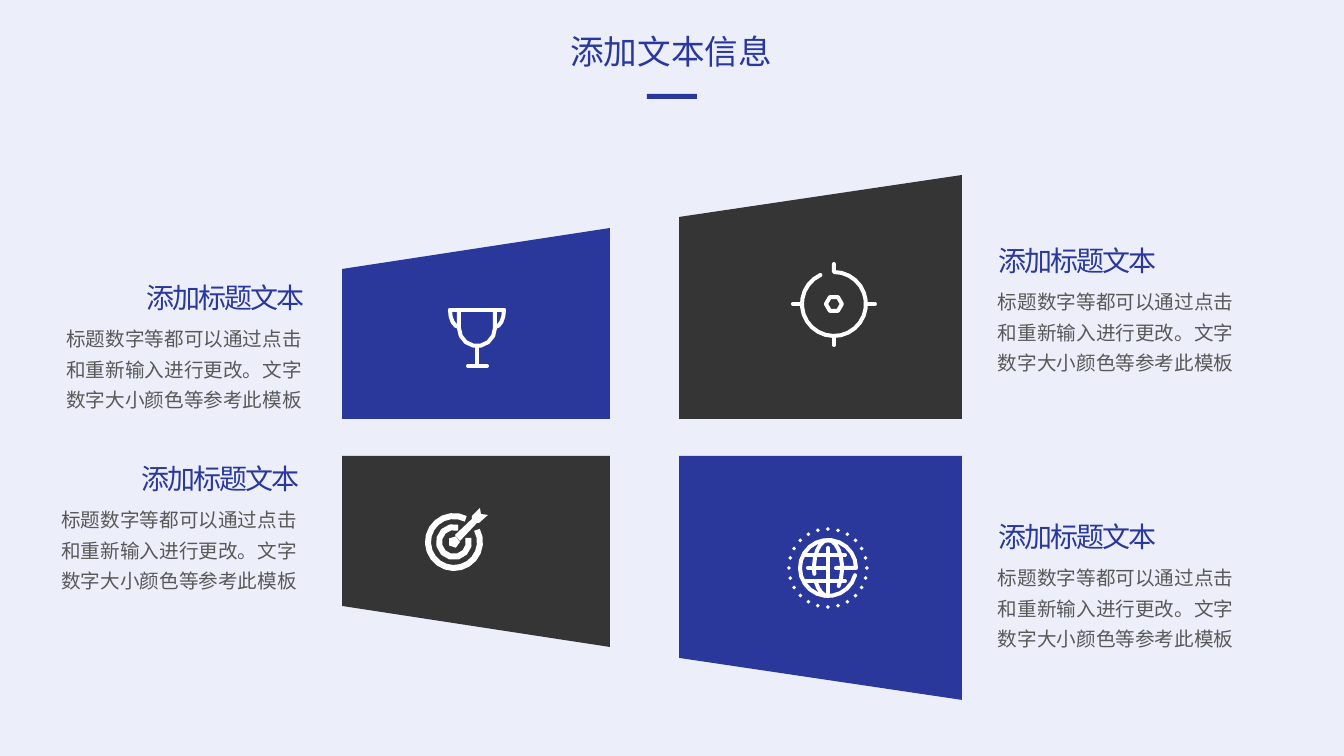
import math

import pptx
import pptx.dml.color
import pptx.enum.shapes
import pptx.enum.text
import pptx.oxml
import pptx.oxml.ns
import pptx.util

SCALE = 914400 / 100.8
COLORS = {
    "background": "ECEEFA",
    "blue": "2A389C",
    "dark": "353535",
    "body": "595959",
    "white": "FFFFFF",
}
HEADING_FONT = "Noto Sans CJK JP"
BODY_FONT = "Noto Sans CJK SC"
HEADING = "添加标题文本"
BODY = "标题数字等都可以通过点击和重新输入进行更改。文字数字大小颜色等参考此模板"
LEFT = pptx.enum.text.PP_ALIGN.LEFT
CENTER = pptx.enum.text.PP_ALIGN.CENTER
RIGHT = pptx.enum.text.PP_ALIGN.RIGHT


def px(length):
    """Turn pixels into EMU."""
    return pptx.util.Emu(round(length * SCALE))


def color(name):
    """Look up a named colour."""
    return pptx.dml.color.RGBColor.from_string(COLORS[name])


def fill_plain(shape, color_name):
    """Give a shape a solid fill without line or shadow."""
    shape.shadow.inherit = False
    shape.fill.solid()
    shape.fill.fore_color.rgb = color(color_name)
    shape.line.fill.background()


def add_text(slide, box, text, size, font_name, color_name, alignment, line_spacing=1.0, tracking=0):
    """Add a wrapped text box holding one run."""
    frame = slide.shapes.add_textbox(*map(px, box)).text_frame
    frame.word_wrap = True
    frame.auto_size = pptx.enum.text.MSO_AUTO_SIZE.SHAPE_TO_FIT_TEXT
    paragraph = frame.paragraphs[0]
    paragraph.alignment = alignment
    paragraph.line_spacing = line_spacing
    run = paragraph.add_run()
    run.text = text
    run.font.size = pptx.util.Pt(size)
    run.font.name = font_name
    run.font.color.rgb = color(color_name)
    properties = run.font._element
    east_asian = pptx.oxml.parse_xml(f'<a:ea {pptx.oxml.ns.nsdecls("a")} typeface="{font_name}"/>')
    properties.find(pptx.oxml.ns.qn("a:latin")).addnext(east_asian)
    if tracking:
        properties.set("spc", str(tracking))


def point_at(x, y, radius_x, radius_y, degrees):
    """Find the point of an ellipse at an angle, clockwise from the right."""
    angle = math.radians(degrees)
    return x + radius_x * math.cos(angle), y + radius_y * math.sin(angle)


def arc(x, y, radius_x, radius_y, start=0, end=360):
    """List points on an elliptical arc, more of them on a longer one."""
    steps = max(4, round((end - start) * max(radius_x, radius_y) / 450))
    return [
        point_at(x, y, radius_x, radius_y, start + (end - start) * step / steps)
        for step in range(steps + 1)
    ]


def add_outline(slide, contours, close):
    """Build one freeform from several contours."""
    contours = [[(px(x), px(y)) for x, y in contour] for contour in contours]
    builder = slide.shapes.build_freeform(*contours[0][0])
    for index, contour in enumerate(contours):
        if index:
            builder.move_to(*contour[0])
        builder.add_line_segments(contour[1:], close=close)
    return builder.convert_to_shape()


def add_solid(slide, contours, color_name="white"):
    """Add a filled freeform."""
    fill_plain(add_outline(slide, contours, True), color_name)


def add_strokes(slide, contours, width=4, cap="rnd"):
    """Add a freeform of white strokes."""
    shape = add_outline(slide, contours, False)
    shape.shadow.inherit = False
    shape.fill.background()
    shape.line.color.rgb = color("white")
    shape.line.width = px(width)
    shape.line._get_or_add_ln().set("cap", cap)


def add_globe(slide, x, y):
    """Draw a globe inside a ring of dots."""
    add_strokes(slide, [
        arc(x, y, 28, 28, 15, 360) + [(x + 8, y)],
        [(x - 20, y), (x, y)],
        [(x, y - 20), (x, y + 28)],
        [(x - 23, y - 13), (x + 17, y - 13)],
        [(x - 23, y + 13), (x + 17, y + 13)],
        arc(x, y, 14, 28, -90, 40),
        arc(x, y, 14, 28, 90, 150),
        arc(x, y, 14, 28, 168, 270),
    ])
    centers = [point_at(x, y, 39, 39, degrees) for degrees in range(0, 360, 15)]
    add_solid(slide, [arc(dot_x, dot_y, 2, 2)[:-1] for dot_x, dot_y in centers])


def add_crosshair(slide, x, y):
    """Draw a crosshair with four ticks."""
    add_strokes(slide, [
        [(x, y - 40)] + arc(x, y, 32, 32, -90, 245),
        arc(x, y, 8, 8),
        [(x, y + 32), (x, y + 41)],
        [(x - 41, y), (x - 32, y)],
        [(x + 32, y), (x + 41, y)],
    ])


def add_target(slide, x, y):
    """Draw a target hit by an arrow."""
    add_strokes(slide, [arc(x, y, 26, 26, -28, 297), arc(x, y, 15, 15, -16, 286)], 6, "flat")
    add_solid(slide, [arc(x, y, 6, 6)])
    arrow = [(26, -34), (27, -28), (34, -27), (25, -19), (23, -19), (6, -1), (1, -7), (18, -23), (18, -26)]
    add_solid(slide, [[(x + across, y + down) for across, down in arrow]])


def add_trophy(slide, x, y):
    """Draw a trophy whose rim is centred on the given point."""
    add_strokes(slide, [
        [(x - 27, y), (x + 27, y)],
        [(x + 18, y)] + arc(x, y + 18, 18, 18, 0, 180) + [(x - 18, y)],
        arc(x - 18, y, 9, 17, 90, 180),
        arc(x + 18, y, 9, 17, 0, 90),
        [(x, y + 36), (x, y + 56)],
        [(x - 9, y + 56), (x + 10, y + 56)],
    ])


def add_caption(slide, heading_box, body_box, heading_alignment, body_alignment):
    """Add a body text and the heading above it."""
    add_text(slide, (*body_box, 266, 100), BODY, 14, BODY_FONT, "body", body_alignment, 1.3)
    add_text(slide, (*heading_box, 229, 48), HEADING, 20, HEADING_FONT, "blue", heading_alignment, 1.2, -150)


def main():
    """Build and save the slide."""
    presentation = pptx.Presentation()
    presentation.slide_width, presentation.slide_height = px(1344), px(756)
    slide = presentation.slides.add_slide(presentation.slide_layouts[6])
    slide.background.fill.solid()
    slide.background.fill.fore_color.rgb = color("background")

    add_text(slide, (552, 26, 238, 50), "添加文本信息", 24, HEADING_FONT, "blue", CENTER)
    bar = slide.shapes.add_shape(pptx.enum.shapes.MSO_SHAPE.RECTANGLE, *map(px, (647, 94, 50, 5)))
    fill_plain(bar, "blue")

    panels = [
        (342, 610, 269, 228, 419, "blue"),
        (679, 962, 217, 175, 419, "dark"),
        (342, 610, 606, 647, 456, "dark"),
        (679, 962, 658, 700, 456, "blue"),
    ]
    for left, right, outer_left, outer_right, inner, color_name in panels:
        corners = [(left, outer_left), (right, outer_right), (right, inner), (left, inner)]
        add_solid(slide, [corners], color_name)

    add_globe(slide, 828, 568)
    add_crosshair(slide, 834, 304)
    add_target(slide, 454, 542)
    add_trophy(slide, 477, 310)

    for top in (232, 508):
        add_caption(slide, (963, top), (988, top + 46), CENTER, LEFT)
    for left, top in ((41, 450), (46, 269)):
        add_caption(slide, (left + 39, top), (left, top + 46), RIGHT, RIGHT)
    presentation.save("out.pptx")


if __name__ == "__main__":
    main()
